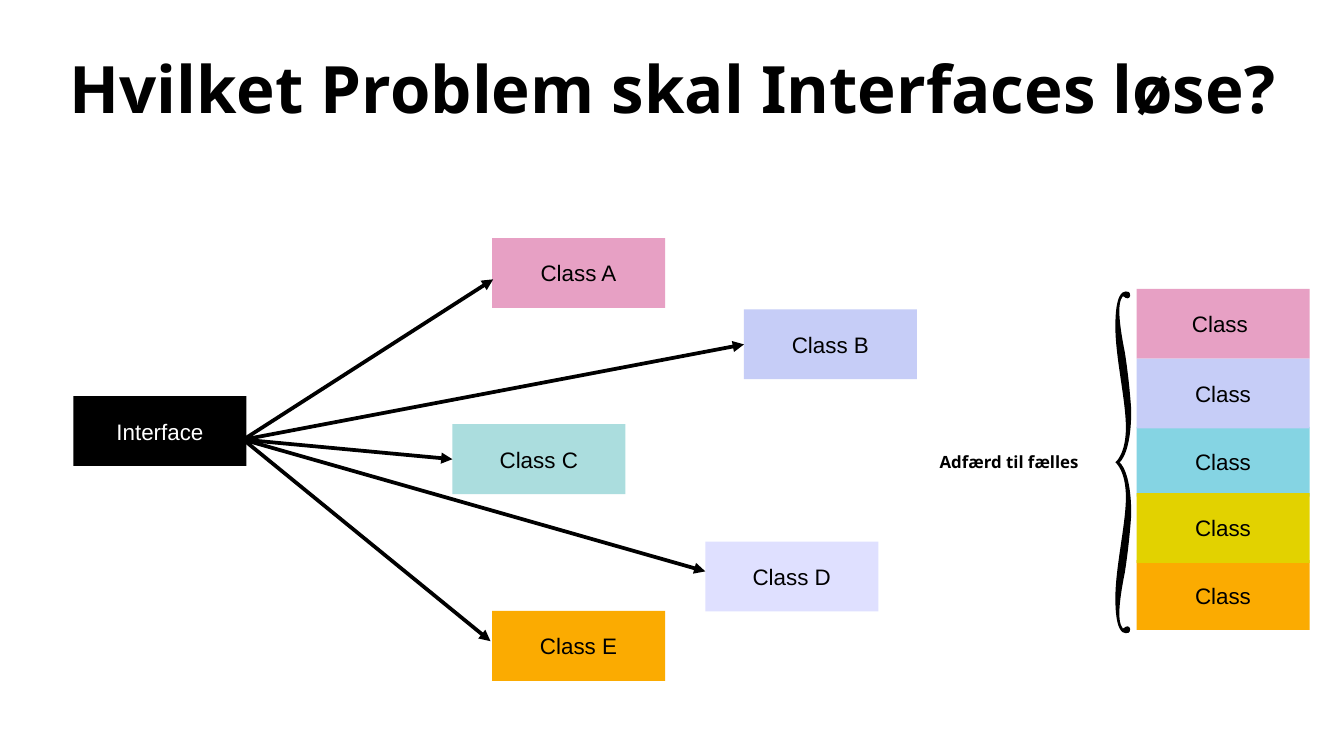
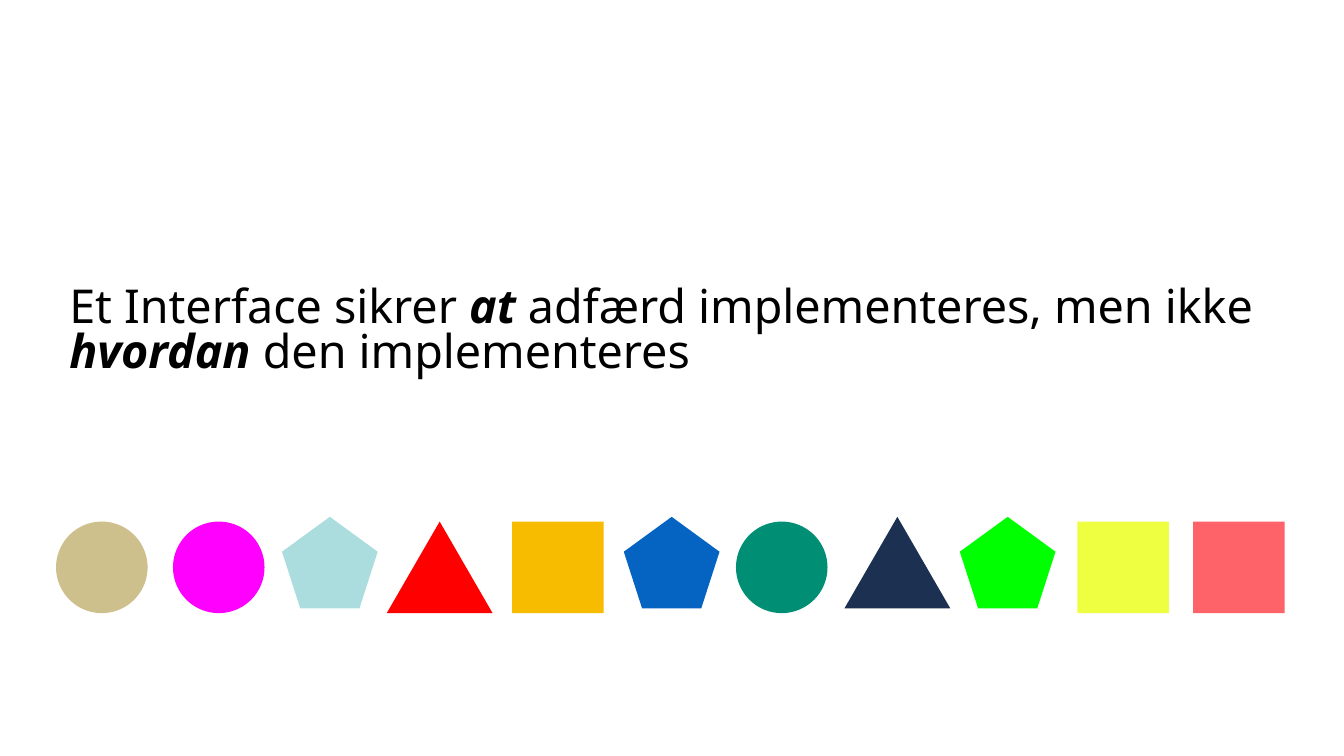
"""Builds two slides on what interfaces are for."""
from dataclasses import dataclass

from lxml.etree import SubElement as Sub
from pptx import Presentation
from pptx.dml.color import RGBColor as Rgb
from pptx.enum.shapes import MSO_CONNECTOR as Link, MSO_SHAPE as Kind
from pptx.enum.text import MSO_ANCHOR as Anchor, PP_ALIGN as Align
from pptx.oxml.ns import qn
from pptx.util import Cm, Pt


@dataclass(frozen=True)
class Theme:
    ink: str = "000000"
    paper: str = "FFFFFF"
    pink: str = "E7A0C4"
    lilac: str = "C6CDF7"
    mist: str = "DFE0FF"
    aqua: str = "ABDDDE"
    cyan: str = "85D4E3"
    lime: str = "E2D200"
    amber: str = "FBAB01"
    sand: str = "CDC08C"
    magenta: str = "FF00FF"
    red: str = "FF0001"
    gold: str = "F7BB00"
    blue: str = "0563C1"
    teal: str = "008F74"
    navy: str = "1C3052"
    green: str = "00FF00"
    lemon: str = "EEFF41"
    coral: str = "FD6368"
    head: str = "Noto Sans"
    body: str = "Arial"
    title: int = 35
    claim: int = 25
    label: int = 12
    note: int = 9
    rule: int = 2
    lead: float = 0.8


T = Theme()
SIZE = (25.4, 14.29)
BOX = (3.27, 1.32)
PAD = 0.05

TITLE = "Hvilket Problem skal Interfaces løse?"
ROOT = ("Interface", 1.39, 7.49)
HUB = (4.6, 8.31)
NODES = [
    ("Class A", 9.3, 4.5, T.pink, (9.32, 5.28)),
    ("Class C", 8.55, 8.02, T.aqua, None),
    ("Class E", 9.3, 11.55, T.amber, (9.27, 12.12)),
    ("Class D", 13.33, 10.24, T.mist, (13.33, 10.8)),
    ("Class B", 14.06, 5.85, T.lilac, None),
]
STACK = 21.48
LAYERS = [
    ("Class ", 5.46, T.pink),
    ("Class", 8.07, T.cyan),
    ("Class", 10.59, T.amber),
    ("Class", 9.32, T.lime),
    ("Class", 6.78, T.lilac),
]
NOTE = "Adfærd til fælles"

BRACE = (21.08, 8.74)
START = (0.08, 0)
CURVES = [
    ((0.08, 0), (0.3, 0.15), (0.3, 0.99)),
    ((0.28, 1.27), (0.25, 1.63), (0.18, 2.08)),
    ((0.05, 2.72), (0.05, 3.02), (0.13, 3.12)),
    ((0.13, 3.15), (0.15, 3.15), (0.18, 3.12)),
    ((0.18, 3.12), (0.2, 3.1), (0.23, 3.1)),
    ((0.25, 3.1), (0.28, 3.12), (0.28, 3.15)),
    ((0.28, 3.23), (0.23, 3.23), (0.2, 3.23)),
    ((0.13, 3.23), (0, 3.17), (0, 2.57)),
    ((0, 1.98), (0.2, 1.17), (0.2, 0.66)),
    ((0.2, 0.15), (0, 0), (0, 0)),
]

CLAIM = [
    ("Et Interface sikrer ", False),
    ("at", True),
    (" adfærd implementeres, men ikke ", False),
    ("hvordan", True),
    (" den implementeres", False),
]
TALL = 1.73
WIDTHS = {Kind.OVAL: 1.73, Kind.RECTANGLE: 1.73,
          Kind.REGULAR_PENTAGON: 1.81, Kind.ISOSCELES_TRIANGLE: 2}
LOW, HIGH = 9.86, 9.77
FORMS = [
    (Kind.OVAL, T.sand, 1.06, LOW),
    (Kind.OVAL, T.magenta, 3.27, LOW),
    (Kind.REGULAR_PENTAGON, T.aqua, 5.33, HIGH),
    (Kind.ISOSCELES_TRIANGLE, T.red, 7.31, LOW),
    (Kind.RECTANGLE, T.gold, 9.68, LOW),
    (Kind.REGULAR_PENTAGON, T.blue, 11.79, HIGH),
    (Kind.OVAL, T.teal, 13.91, LOW),
    (Kind.ISOSCELES_TRIANGLE, T.navy, 15.96, HIGH),
    (Kind.REGULAR_PENTAGON, T.green, 18.14, HIGH),
    (Kind.RECTANGLE, T.lemon, 20.36, LOW),
    (Kind.RECTANGLE, T.coral, 22.55, LOW),
]


def apply(item, form):
    for key, val in form.items():
        setattr(item, key, val)


def write(shape, runs, size, face, ink=T.ink, anchor=Anchor.MIDDLE,
          foot=PAD, **para):
    frame = shape.text_frame
    apply(frame, {f"margin_{side}": Cm(PAD)
                  for side in ("left", "top", "right")})
    apply(frame, {"margin_bottom": Cm(foot), "word_wrap": True,
                  "vertical_anchor": anchor})
    line = frame.paragraphs[0]
    apply(line, para)
    for text, form in runs:
        run = line.add_run()
        run.text = text
        apply(run.font, {"name": face, "size": Pt(size), **form})
        run.font.color.rgb = Rgb.from_string(ink)


def paint(shape, fill):
    shape.shadow.inherit = False
    shape.fill.solid()
    shape.fill.fore_color.rgb = Rgb.from_string(fill)
    shape.line.fill.background()
    return shape


def form(slide, kind, place, fill):
    return paint(slide.shapes.add_shape(kind, *map(Cm, place)), fill)


def box(slide, text, x, y, fill, ink=T.ink):
    shape = form(slide, Kind.RECTANGLE, (x, y, *BOX), fill)
    write(shape, [(text, {})], T.label, T.body, ink, alignment=Align.CENTER)
    return shape


def words(slide, place, *args, **form):
    write(slide.shapes.add_textbox(*map(Cm, place)), *args, **form)


def arrow(slide, node, tip):
    ends = map(Cm, HUB + (tip or HUB))
    link = slide.shapes.add_connector(Link.STRAIGHT, *ends)
    if tip is None:
        link.end_connect(node, 1)
    link.line.width = Pt(T.rule)
    link.line.color.rgb = Rgb.from_string(T.ink)
    Sub(link.line._get_or_add_ln(), qn("a:tailEnd"), type="triangle")
    Sub(link._element.spPr, qn("a:effectLst"))


def bend(shape):
    legs = list(shape._element.iter(qn("a:lnTo")))
    for at in range(0, len(legs), 3):
        trio = legs[at:at + 3]
        curve = trio[0].makeelement(qn("a:cubicBezTo"))
        trio[0].addprevious(curve)
        for leg in trio:
            curve.append(leg[0])
            leg.getparent().remove(leg)


def brace(slide):
    left, mid = BRACE
    half = [START] + [dot for curve in CURVES for dot in curve]
    dots = [(x, -y) for x, y in half] + half[-2::-1]
    spots = [(Cm(left + x), Cm(mid + y)) for x, y in dots]
    pen = slide.shapes.build_freeform(*spots[0], scale=1.0)
    pen.add_line_segments(spots[1:], close=True)
    bend(paint(pen.convert_to_shape(), T.ink))


def problem(slide):
    root, *_ = [box(slide, *ROOT, T.ink, T.paper)]
    nodes = [(box(slide, *node), tip) for *node, tip in NODES]
    for node, tip in nodes:
        arrow(slide, node, tip)
    words(slide, (1.26, 1.14, 23.5, 1.5), [(TITLE, {"bold": True})],
          T.title, T.head, anchor=Anchor.TOP, line_spacing=T.lead)
    for text, top, fill in LAYERS:
        box(slide, text, STACK, top, fill)
    words(slide, (17.15, 8.48, 3.84, 0.48), [(NOTE, {"bold": True})],
          T.note, T.head, alignment=Align.CENTER)
    brace(slide)


def promise(slide):
    for kind, fill, left, top in FORMS:
        form(slide, kind, (left, top, WIDTHS[kind], TALL), fill)
    runs = [(text, {"bold": on, "italic": on}) for text, on in CLAIM]
    words(slide, (1.26, 4.72, 22.89, 4.85), runs, T.claim, T.head,
          foot=1.77, line_spacing=T.lead)


def main():
    deck = Presentation()
    deck.slide_width, deck.slide_height = map(Cm, SIZE)
    for build in (problem, promise):
        build(deck.slides.add_slide(deck.slide_layouts[6]))
    deck.save("out.pptx")


if __name__ == "__main__":
    main()
